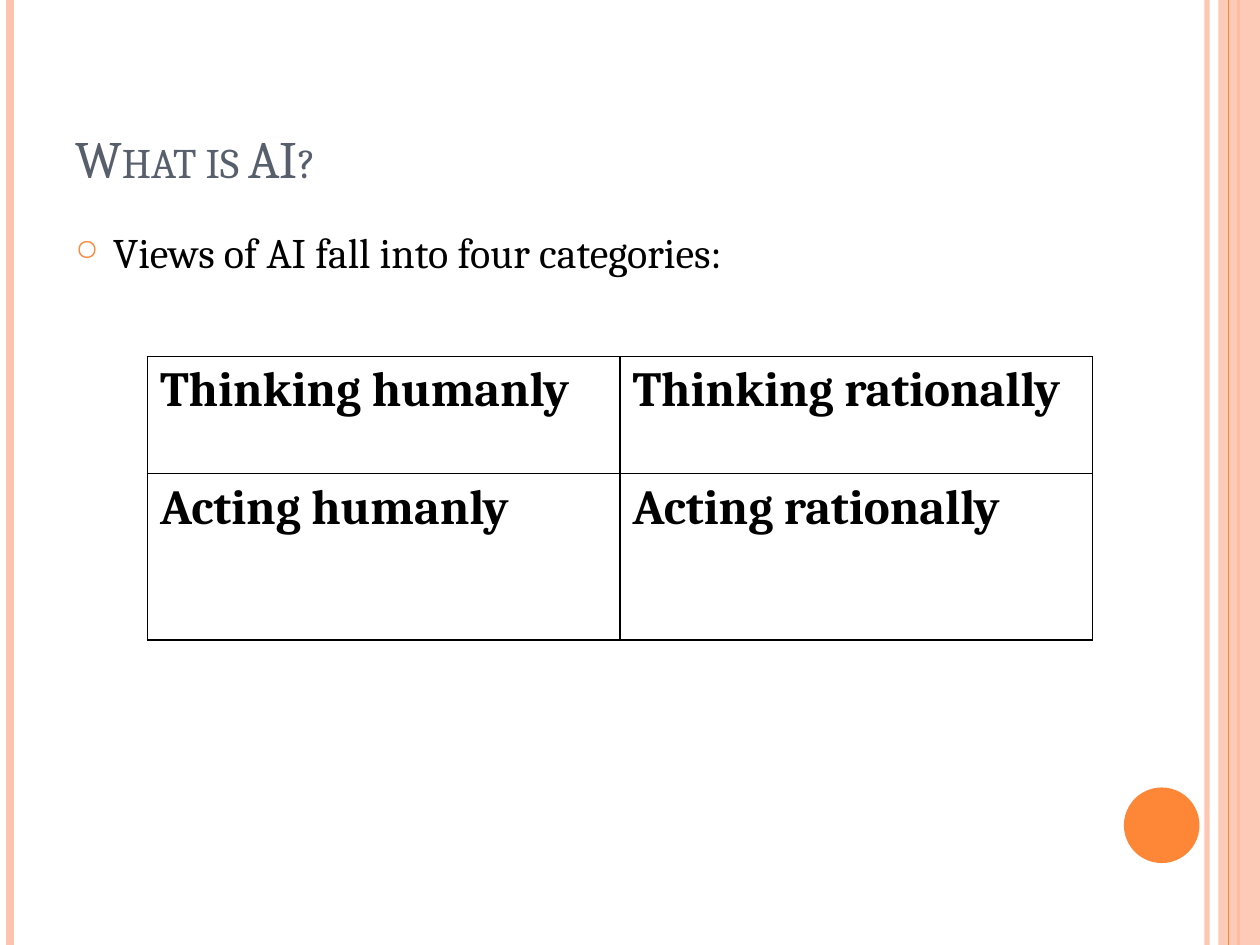
from lxml import etree
from pptx import Presentation
from pptx.dml.color import RGBColor
from pptx.enum.shapes import MSO_CONNECTOR, MSO_SHAPE
from pptx.enum.text import MSO_ANCHOR
from pptx.oxml.ns import qn
from pptx.util import Inches, Pt

STRAIGHT = MSO_CONNECTOR.STRAIGHT
RECTANGLE, OVAL = MSO_SHAPE.RECTANGLE, MSO_SHAPE.OVAL
TOP, BOTTOM = MSO_ANCHOR.TOP, MSO_ANCHOR.BOTTOM
COLORS = {
    "peach": "FEC3AE",
    "orange": "FE8637",
    "slate": "575F6D",
    "black": "000000",
    "white": "FFFFFF",
}
FONT = "Cambria"


def add_color(parent, name, opacity=100):
    fill = etree.SubElement(parent, qn("a:solidFill"))
    color = etree.SubElement(fill, qn("a:srgbClr"), val=COLORS[name])
    if opacity < 100:
        etree.SubElement(color, qn("a:alpha"), val=str(opacity * 1000))


def write(frame, text, size, color, bold=False):
    paragraph = frame.paragraphs[0]
    run = paragraph.add_run()
    run.text = text
    formats = {"name": FONT, "size": Pt(size), "bold": bold}
    for key, value in formats.items():
        setattr(run.font, key, value)
    run.font.color.rgb = RGBColor.from_string(COLORS[color])
    return paragraph, run


prs = Presentation()
prs.slide_width, prs.slide_height = Inches(10), Inches(7.5)
slide = prs.slides.add_slide(prs.slide_layouts[6])
shapes = slide.shapes

decorations = [
    ("stripe", 9.58, 3, "peach", 93),
    ("stripe", 0.08, 4.5, "peach", 100),
    ("stripe", 9.83, 1.5, "orange", 100),
    (RECTANGLE, (9.67, 0, 0.33, 7.5), None, "peach", 87),
    ("stripe", 9.75, 0.75, "peach", 100),
    (OVAL, (8.92, 6.25, 0.6, 0.6), None, "orange", 100),
]
decorations[4] = ("stripe", 9.75, 0.75, "orange", 100)
for kind, place, width, color, opacity in decorations:
    if kind == "stripe":
        stripe = shapes.add_connector(
            STRAIGHT, Inches(place), 0, Inches(place), prs.slide_height
        )
        stripe.line.width = Pt(width)
        add_color(stripe.line._get_or_add_ln(), color, opacity)
        etree.SubElement(stripe._element.spPr, qn("a:effectLst"))
    else:
        accent = shapes.add_shape(kind, *map(Inches, place))
        accent.shadow.inherit = False
        accent.line.fill.background()
        accent.fill.solid()
        accent.fill.fore_color.rgb = RGBColor.from_string(COLORS[color])
        if opacity < 100:
            rgb = accent._element.spPr.find(qn("a:solidFill"))[0]
            etree.SubElement(rgb, qn("a:alpha"), val=str(opacity * 1000))

texts = [
    ("What is AI?", (0.5, 0.3, 8.17, 1.25), BOTTOM, 30, "slate"),
    ("Views of AI fall into four categories:", (0.5, 1.75, 8.17, 5.33), TOP, 24, "black"),
]
written = []
for text, place, anchor, size, color in texts:
    frame = shapes.add_textbox(*map(Inches, place)).text_frame
    frame.word_wrap = True
    frame.vertical_anchor = anchor
    written.append(write(frame, text, size, color))

heading = written[0][1]
heading.font._element.set("cap", "small")

statement = written[1][0]
statement.space_before = Pt(6)
bullet = statement._p.get_or_add_pPr()
bullet.set("marL", str(Inches(0.3)))
bullet.set("indent", str(Inches(-0.3)))
bullet_color = etree.SubElement(bullet, qn("a:buClr"))
etree.SubElement(bullet_color, qn("a:srgbClr"), val=COLORS["orange"])
etree.SubElement(bullet, qn("a:buSzPct"), val="70000")
etree.SubElement(bullet, qn("a:buChar"), char="○")

categories = [
    ["Thinking humanly", "Thinking rationally"],
    ["Acting humanly", "Acting rationally"],
]
row_heights = [0.93, 1.32]
table = shapes.add_table(
    2, 2, Inches(1.17), Inches(2.83), Inches(7.5), Inches(sum(row_heights))
).table
for row, height, names in zip(table.rows, row_heights, categories):
    row.height = Inches(height)
    for cell, name in zip(row.cells, names):
        write(cell.text_frame, name, 28, "black", True)
        properties = cell._tc.get_or_add_tcPr()
        for side in ("lnL", "lnR", "lnT", "lnB"):
            border = etree.SubElement(properties, qn(f"a:{side}"), w=str(Pt(1)))
            add_color(border, "black")
        cell.fill.solid()
        cell.fill.fore_color.rgb = RGBColor.from_string(COLORS["white"])

prs.save("out.pptx")
